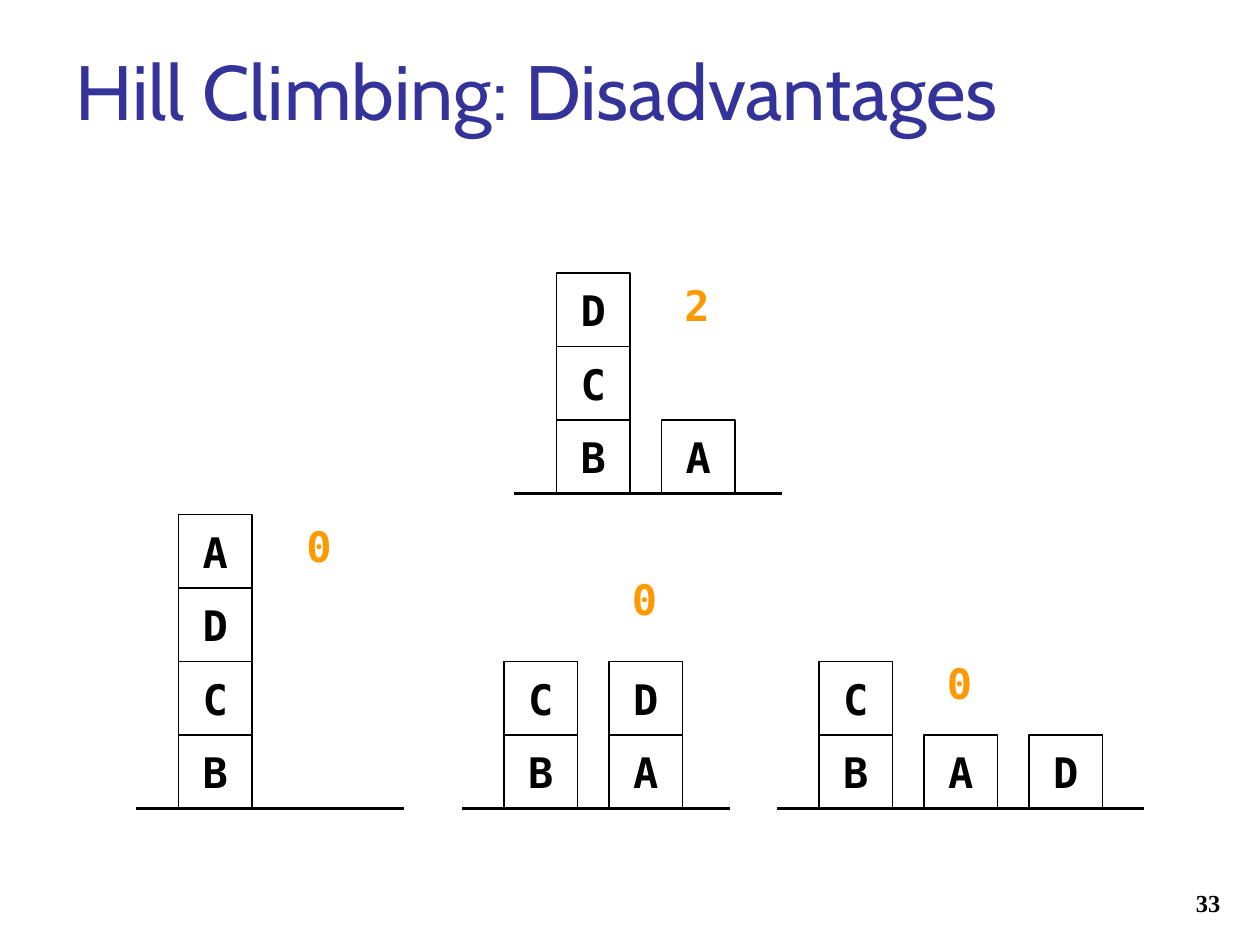
from lxml import etree
from pptx import Presentation
from pptx.dml.color import RGBColor
from pptx.enum.shapes import MSO_CONNECTOR, MSO_SHAPE
from pptx.enum.text import MSO_ANCHOR, MSO_AUTO_SIZE, PP_ALIGN
from pptx.oxml.ns import qn
from pptx.util import Inches, Pt

RECTANGLE = MSO_SHAPE.RECTANGLE
STRAIGHT = MSO_CONNECTOR.STRAIGHT
TOP, MIDDLE, BOTTOM = MSO_ANCHOR.TOP, MSO_ANCHOR.MIDDLE, MSO_ANCHOR.BOTTOM
LEFT, CENTER, RIGHT = PP_ALIGN.LEFT, PP_ALIGN.CENTER, PP_ALIGN.RIGHT
FIT_SHAPE = MSO_AUTO_SIZE.SHAPE_TO_FIT_TEXT

COLORS = {"title": "333399", "ink": "000000", "score": "FF9900"}
TITLE_FONT, BLOCK_FONT, NUMBER_FONT = "Cabin", "DejaVu Sans Mono", "Times New Roman"
COLUMNS, ROWS = 120, 90
BLOCK, PITCH, OVERHANG = 7, 10, 4


class BlocksSlide:
    """Draws block-world states on a slide grid of 120 columns by 90 rows."""

    def __init__(self, deck):
        self.slide = deck.slides.add_slide(deck.slide_layouts[6])
        self.column = deck.slide_width / COLUMNS
        self.row = deck.slide_height / ROWS

    def place(self, left, top, width, height):
        return (round(left * self.column), round(top * self.row),
                round(width * self.column), round(height * self.row))

    def set_text(self, frame, text, font, size, color, bold=True, align=LEFT, anchor=TOP):
        frame.vertical_anchor = anchor
        paragraph = frame.paragraphs[0]
        paragraph.text = text
        paragraph.alignment = align
        paragraph.font.name = font
        paragraph.font.size = Pt(size)
        paragraph.font.bold = bold
        paragraph.font.color.rgb = RGBColor.from_string(COLORS[color])

    def label(self, area, text, font, size, color, **style):
        frame = self.slide.shapes.add_textbox(*self.place(*area)).text_frame
        frame.word_wrap = True
        self.set_text(frame, text, font, size, color, **style)
        return frame

    def score(self, left, top, value):
        frame = self.label((left, top, 6, 6), value, BLOCK_FONT, 24, "score")
        frame.auto_size = FIT_SHAPE

    def block(self, left, top, letter):
        block = self.slide.shapes.add_shape(RECTANGLE, *self.place(left, top, BLOCK, BLOCK))
        block.shadow.inherit = False
        block.fill.background()
        block.line.color.rgb = RGBColor.from_string(COLORS["ink"])
        block.line.width = Pt(1)
        block.text_frame.word_wrap = False
        self.set_text(block.text_frame, letter, BLOCK_FONT, 24, "ink",
                      align=CENTER, anchor=MIDDLE)

    def table_line(self, left, top, width):
        x, y, length, _ = self.place(left, top, width, 0)
        line = self.slide.shapes.add_connector(STRAIGHT, x, y, x + length, y)
        line.line.color.rgb = RGBColor.from_string(COLORS["ink"])
        line.line.width = Pt(1.5)
        etree.SubElement(line._element.spPr, qn("a:effectLst"))

    def state(self, left, floor, stacks, line_width, score):
        for position, stack in enumerate(stacks):
            for level, letter in enumerate(stack, start=1):
                self.block(left + position * PITCH, floor - level * BLOCK, letter)
        self.table_line(left - OVERHANG, floor, line_width)
        self.score(*score)


def main():
    deck = Presentation()
    deck.slide_width, deck.slide_height = Inches(10), Inches(7.5)
    page = BlocksSlide(deck)
    page.label((92.4, 82, 25, 6), "33", NUMBER_FONT, 14, "ink", align=RIGHT, anchor=BOTTOM)
    page.label((6, 3.6, 108, 15), "Hill Climbing: Disadvantages",
               TITLE_FONT, 44, "title", bold=False)
    states = [
        (17, 77, ["BCDA"], 25.5, (28, 49, "0")),
        (48, 77, ["BC", "AD"], 25.5, (59, 54, "0")),
        (78, 77, ["BC", "A", "D"], 35, (89, 62, "0")),
        (53, 47, ["BCD", "A"], 25.5, (64, 26, "2")),
    ]
    for state in states:
        page.state(*state)
    deck.save("out.pptx")


if __name__ == "__main__":
    main()
